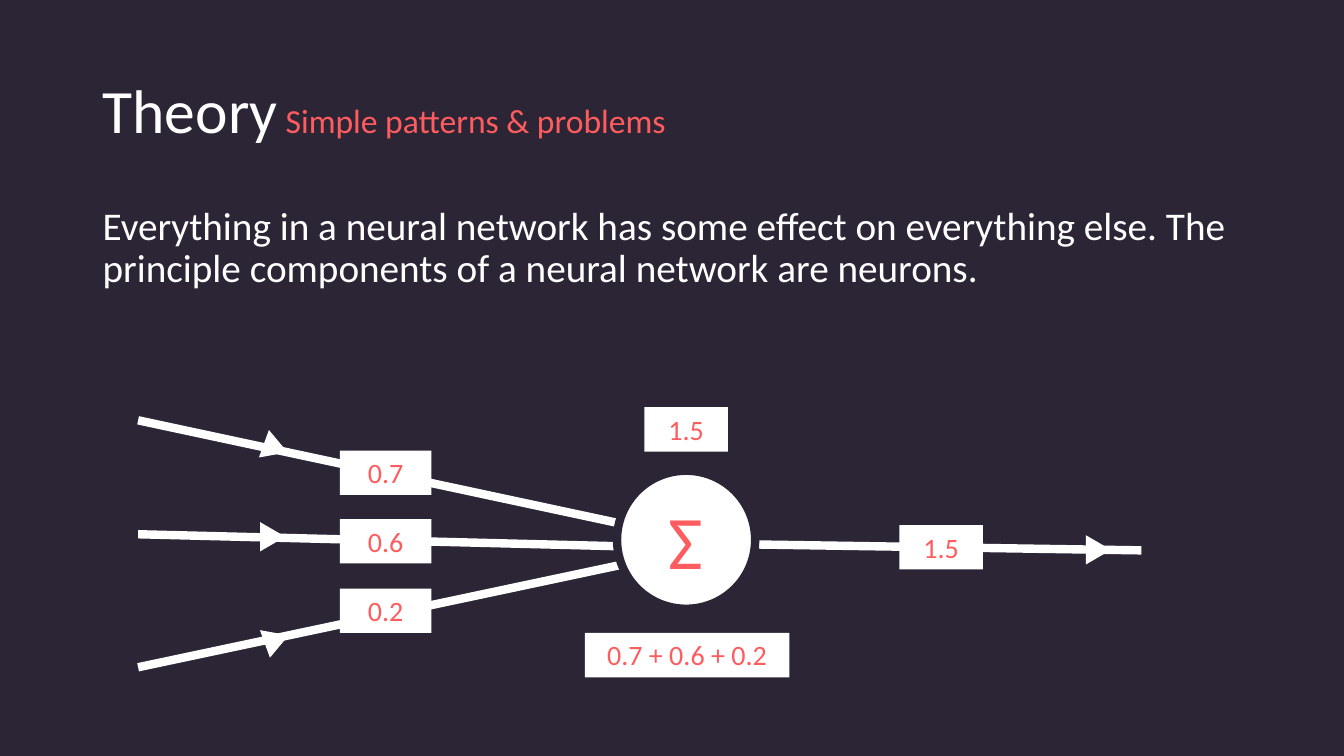
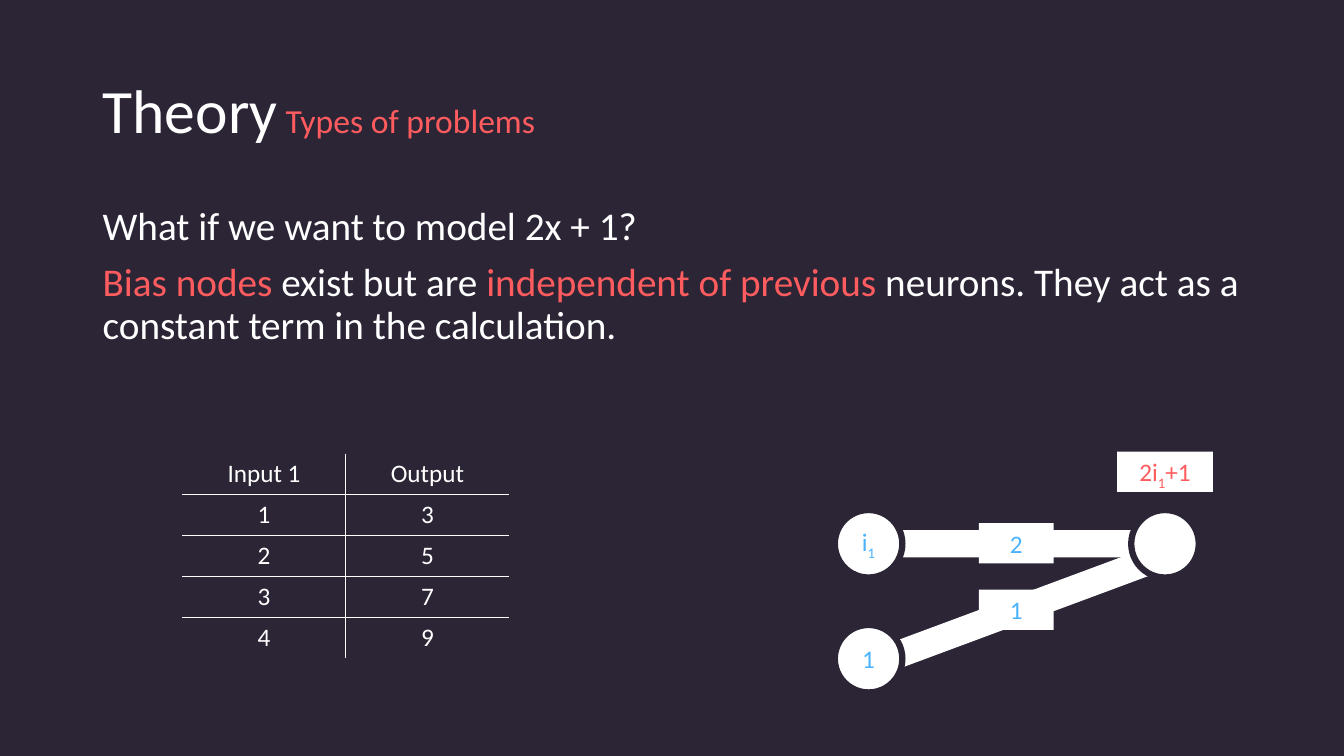
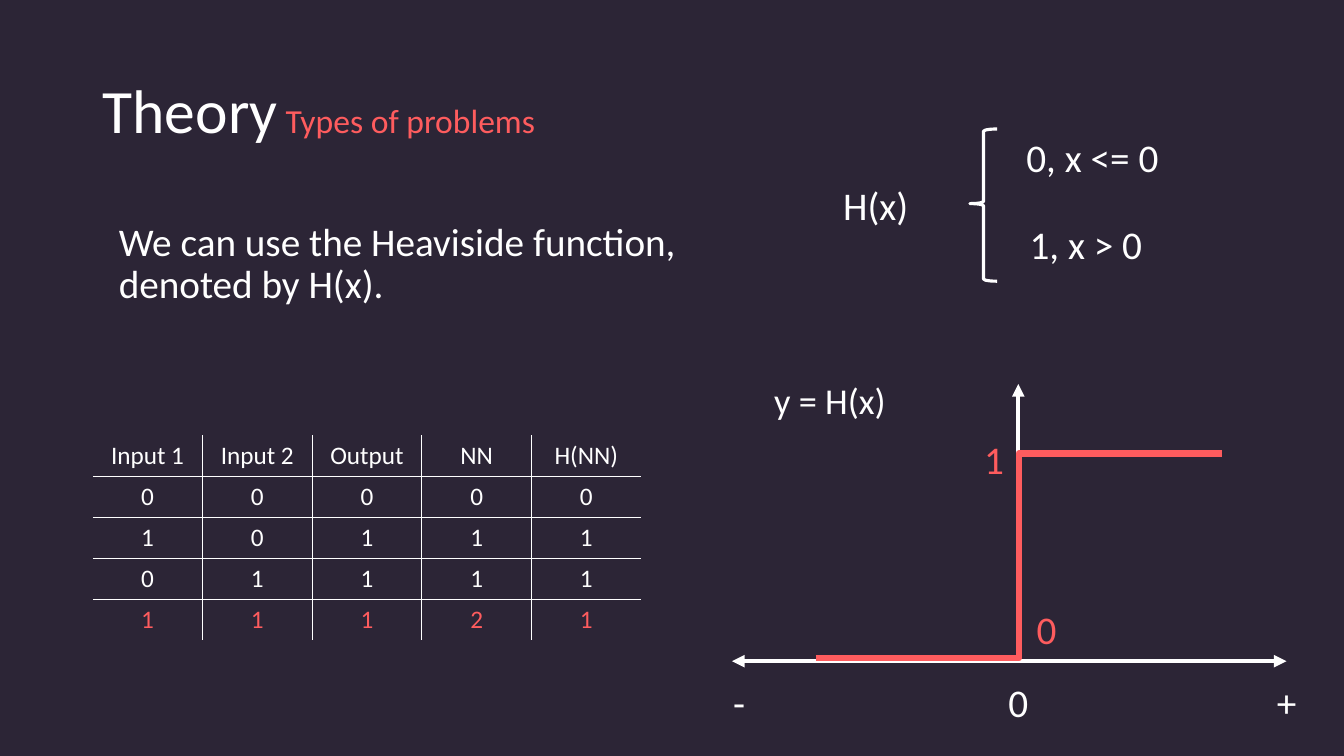
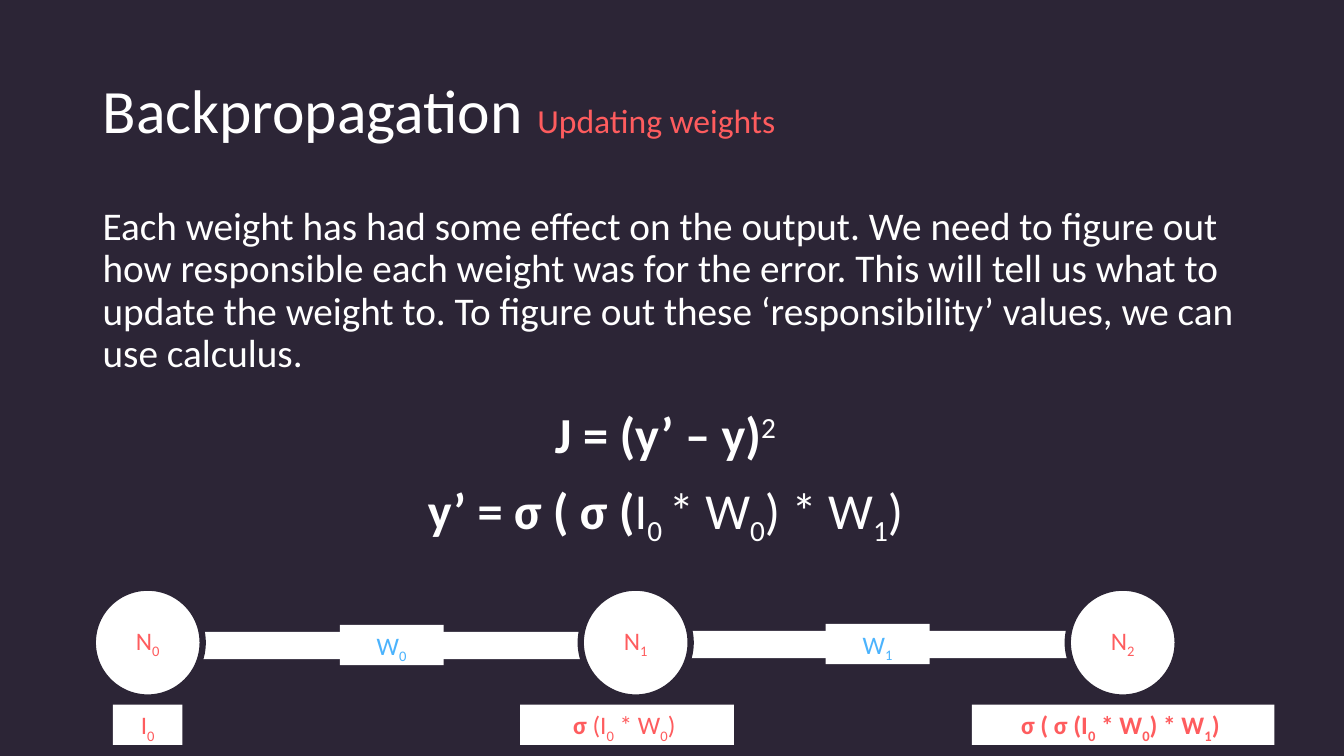
from lxml import etree
from pptx import Presentation
from pptx.dml.color import RGBColor
from pptx.enum.shapes import MSO_CONNECTOR, MSO_SHAPE
from pptx.enum.text import MSO_ANCHOR, PP_ALIGN
from pptx.oxml.ns import qn
from pptx.util import Emu, Pt

PX = 9144
FONT = "Calibri"
COLORS = {"night": "2C2536", "white": "FFFFFF", "coral": "FE5C5E", "sky": "4BB3FD"}
BASELINES = {"sub": "-25000", "sup": "30000"}
LEFT, CENTER = PP_ALIGN.LEFT, PP_ALIGN.CENTER
TOP, MIDDLE = MSO_ANCHOR.TOP, MSO_ANCHOR.MIDDLE
RECT, OVAL = MSO_SHAPE.RECTANGLE, MSO_SHAPE.OVAL
TRIANGLE, BRACE = MSO_SHAPE.ISOSCELES_TRIANGLE, MSO_SHAPE.LEFT_BRACE
STRAIGHT, ELBOW = MSO_CONNECTOR.STRAIGHT, MSO_CONNECTOR.ELBOW


def px(*lengths):
    return [Emu(n * PX) for n in lengths]


def rgb(name):
    return RGBColor.from_string(COLORS[name])


class Deck:
    """Dark slides with white diagrams and coral accents."""

    def __init__(self):
        self.prs = Presentation()
        self.prs.slide_width, self.prs.slide_height = px(1333, 750)

    def slide(self, title, subtitle):
        self.s = self.prs.slides.add_slide(self.prs.slide_layouts[6])
        self.s.background.fill.solid()
        self.s.background.fill.fore_color.rgb = rgb("night")
        runs = [title, (subtitle, 24, "coral")]
        self.text(92, 40, 1150, 145, [runs], size=44, before=0, anchor=MIDDLE)

    def fill_paragraph(self, p, runs, size, color, align=CENTER):
        p.alignment = align
        p.font.name, p.font.size = FONT, Pt(size)
        p.font.color.rgb = rgb(color)
        for run in runs:
            text, *marks = (run,) if isinstance(run, str) else run
            r = p.add_run()
            r.text = text
            for mark in marks:
                if mark == "bold":
                    r.font.bold = True
                elif mark in BASELINES:
                    r.font._element.set("baseline", BASELINES[mark])
                elif mark in COLORS:
                    r.font.color.rgb = rgb(mark)
                else:
                    r.font.size = Pt(mark)

    def text(self, x, y, w, h, paragraphs, size=28, color="white", align=LEFT,
             spacing=0.9, before=10, anchor=TOP):
        sp = self.s.shapes.add_textbox(*px(x, y, w, h))
        tf = sp.text_frame
        tf.word_wrap = True
        tf.vertical_anchor = anchor
        for i, runs in enumerate(paragraphs):
            p = tf.add_paragraph() if i else tf.paragraphs[0]
            p.line_spacing, p.space_before = spacing, Pt(before)
            self.fill_paragraph(p, runs, size, color, align)
        return sp

    def body(self, h, *paragraphs):
        self.text(92, 200, 1150, h, paragraphs)

    def label(self, x, y, w, h, runs, size=18, color="coral"):
        sp = self.text(x, y, w, h, [runs], size, color, CENTER, spacing=1, before=0)
        sp.fill.solid()
        sp.fill.fore_color.rgb = rgb("white")

    def shape(self, kind, x, y, w, h, rotation=0):
        sp = self.s.shapes.add_shape(kind, *px(x, y, w, h))
        sp.shadow.inherit = False
        sp.fill.solid()
        sp.fill.fore_color.rgb = rgb("white")
        sp.line.fill.background()
        sp.rotation = rotation
        return sp

    def node(self, x, y, d, runs=(), size=18, color="coral", rim=4.5):
        sp = self.shape(OVAL, x, y, d, d)
        sp.line.color.rgb, sp.line.width = rgb("night"), Pt(rim)
        tf = sp.text_frame
        tf.margin_left = tf.margin_right = tf.margin_top = tf.margin_bottom = 0
        tf.vertical_anchor = MIDDLE
        if runs:
            self.fill_paragraph(tf.paragraphs[0], runs, size, color)

    def brace(self, x, y, w, h):
        sp = self.shape(BRACE, x, y, w, h)
        sp.adjustments[0], sp.adjustments[1] = 0.08, 0.49
        sp.fill.background()
        sp.line.color.rgb, sp.line.width = rgb("white"), Pt(2.25)

    def line(self, x1, y1, x2, y2, width=6, color="white", kind=STRAIGHT, ends=()):
        c = self.s.shapes.add_connector(kind, *px(x1, y1, x2, y2))
        c.line.color.rgb, c.line.width = rgb(color), Pt(width)
        ln = c.line._get_or_add_ln()
        for end in ends:
            etree.SubElement(ln, qn(f"a:{end}"), type="triangle")
        etree.SubElement(c._element.spPr, qn("a:effectLst"))

    def border(self, cell, side, shown):
        ln = etree.SubElement(cell._tc.get_or_add_tcPr(), qn(f"a:ln{side}"), w="12700")
        if shown:
            fill = etree.SubElement(ln, qn("a:solidFill"))
            etree.SubElement(fill, qn("a:srgbClr"), val=COLORS["white"])
        else:
            etree.SubElement(ln, qn("a:noFill"))

    def table(self, x, y, w, h, rows, accent_row=None):
        n, m = len(rows), len(rows[0])
        t = self.s.shapes.add_table(n, m, *px(x, y, w, h)).table
        t.first_row = t.horz_banding = False
        for i, row in enumerate(rows):
            for j, value in enumerate(row):
                cell = t.cell(i, j)
                inner = {"L": j > 0, "R": j < m - 1, "T": i > 0, "B": i < n - 1}
                for side, shown in inner.items():
                    self.border(cell, side, shown)
                cell.fill.background()
                color = "coral" if i == accent_row else "white"
                self.fill_paragraph(cell.text_frame.paragraphs[0], [value], 18, color)


def neuron_slide(d):
    d.slide("Theory", " Simple patterns & problems")
    d.body(148, ["Everything in a neural network has some effect on everything else. "
                 "The principle components of a neural network are neurons."])
    for ends in [(740, 540, 1132, 546), (137, 417, 665, 530),
                 (137, 530, 657, 543), (137, 662, 665, 550)]:
        d.line(*ends)
    d.node(612, 467, 137, ["Σ"], size=54, rim=6)
    for x, y, rotation in [(259, 432, 110), (260, 622, 70), (256, 520, 90), (1075, 533, 90)]:
        d.shape(TRIANGLE, x, y, 29, 25, rotation)
    for i, weight in enumerate(["0.7", "0.6", "0.2"]):
        d.label(337, 447 + round(68.5 * i), 91, 44, [weight], size=20)
    for x, y, w, value in [(580, 628, 203, "0.7 + 0.6 + 0.2"),
                           (639, 404, 83, "1.5"), (892, 521, 83, "1.5")]:
        d.label(x, y, w, 44, [value], size=20)


def bias_slide(d):
    d.slide("Theory", " Types of problems")
    d.body(198, ["What if we want to model 2x + 1?"],
           [("Bias nodes ", "coral"), "exist but are ",
            ("independent of previous ", "coral"),
            "neurons. They act as a constant term in the calculation."])
    d.table(181, 450, 324, 203,
            [("Input 1", "Output"), *[(str(n), str(2 * n + 1)) for n in range(1, 5)]])
    d.shape(RECT, 874, 591, 275, 27, -20.4)
    d.shape(RECT, 888, 526, 191, 27)
    d.shape(RECT, 1079, 526, 62, 27)
    d.node(828, 506, 67, ["i", ("1", "sub")], color="sky")
    d.node(828, 620, 67, ["1"], color="sky")
    d.node(1122, 506, 67)
    for y, weight in [(519, "2"), (585, "1")]:
        d.label(971, y, 74, 40, [weight], color="sky")
    d.label(1108, 448, 95, 40, ["2i", ("1", "sub"), "+1"])


def heaviside_slide(d):
    d.slide("Theory", " Types of problems")
    d.table(92, 432, 544, 203, [("Input 1", "Input 2", "Output", "NN", "H(NN)"),
                                "00000", "10111", "01111", "11121"], accent_row=4)
    d.text(108, 216, 618, 159, [["We can use the Heaviside function, denoted by H(x)."]])
    d.line(1010, 653, 1010, 381, 3, ends=["tailEnd"])
    d.line(726, 656, 1276, 656, 3, ends=["headEnd", "tailEnd"])
    d.line(809, 653, 1212, 450, 4.5, "coral", ELBOW)
    d.text(758, 375, 152, 55, [["y = H(x)"]], size=26)
    for x, y, w, value, color in [
            (934, 673, 152, "0", "white"), (657, 673, 152, "-", "white"),
            (1200, 673, 152, "+", "white"), (962, 601, 152, "0", "coral"),
            (910, 432, 152, "1", "coral"), (986, 133, 195, "0, x <= 0", "white"),
            (1001, 219, 152, "1, x > 0", "white"), (809, 180, 119, "H(x)", "white")]:
        d.text(x, y, w, 55, [[value]], color=color, align=CENTER)
    d.brace(962, 128, 27, 151)


def backpropagation_slide(d):
    d.slide("Backpropagation ", "Updating weights")
    d.body(266, ["Each weight has had some effect on the output. We need to figure out "
                 "how responsible each weight was for the error. This will tell us what to "
                 "update the weight to. To figure out these ‘responsibility’ values, we can "
                 "use calculus."])
    zero, one = ("0", "sub"), ("1", "sub")
    cost = [("J = (y’ – y)", "bold"), ("2", "sup")]
    output = [("y’ = σ ( σ (", "bold"), "I", ("0 ", "sub"), "* W", zero, ") * W", one, ")"]
    for y, formula in [(395, cost), (470, output)]:
        d.text(239, y, 842, 71, [formula], size=36, align=CENTER, spacing=1, before=0)
    for i, (x, y) in enumerate([(193, 627), (675, 626)]):
        d.shape(RECT, x, y, 395, 27)
        d.label(x + 144, y - 7, 103, 40, ["W", (str(i), "sub")], color="sky")
    for i in range(3):
        d.node(92 + round(483.5 * i), 583, 109, ["N", (str(i), "sub")])
    hidden = [("σ", "bold"), " (I", zero, " * W", zero, ") "]
    final = [(text, "bold", *marks) for text, *marks in [
        ("σ ( σ (I",), zero, (" * W",), zero, (") * W",), one, (") ",)]]
    for x, w, runs in [(112, 69, ["I", zero]), (516, 212, hidden), (964, 300, final)]:
        d.label(x, 699, w, 40, runs)


def main():
    d = Deck()
    neuron_slide(d)
    bias_slide(d)
    heaviside_slide(d)
    backpropagation_slide(d)
    d.prs.save("out.pptx")


if __name__ == "__main__":
    main()
